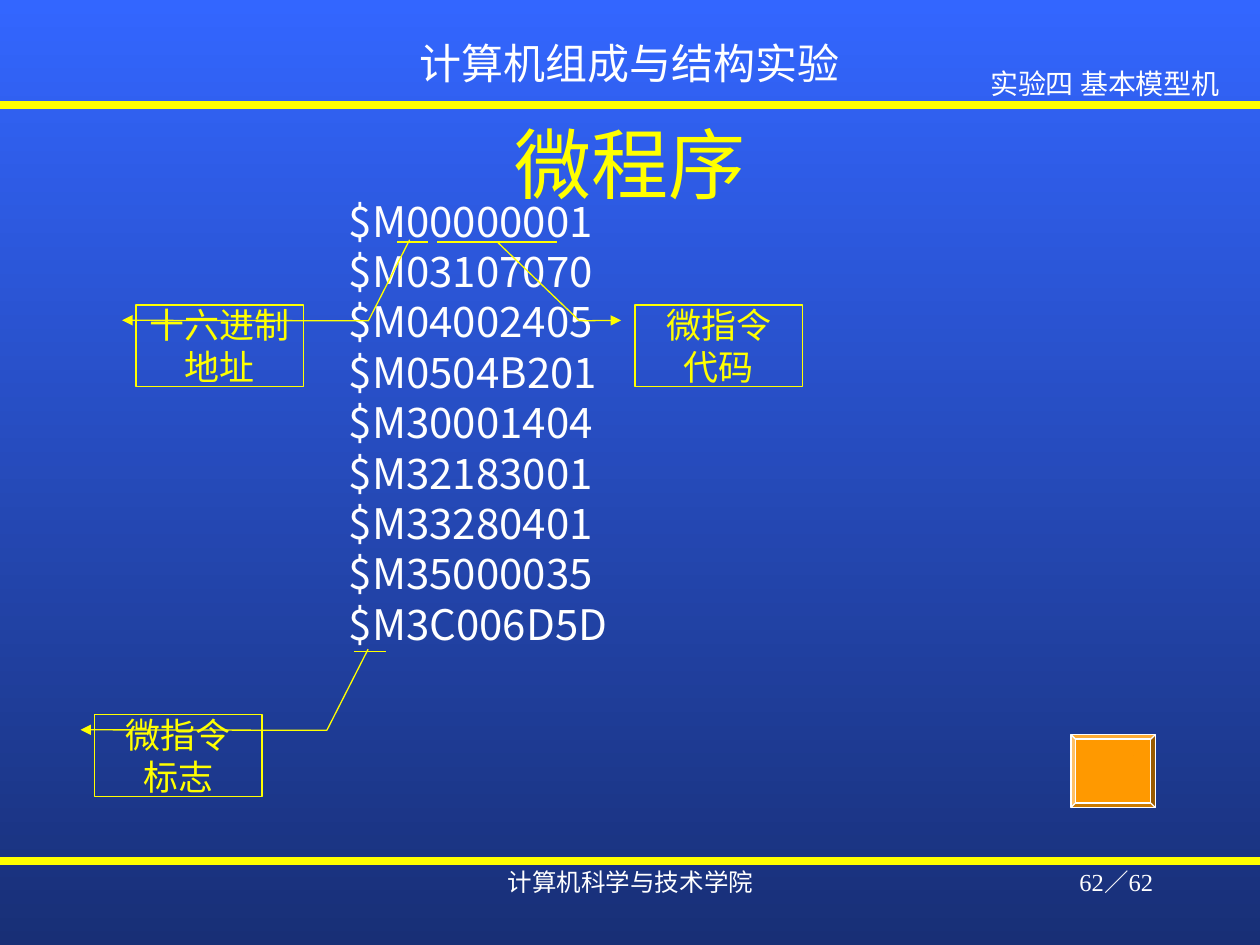
from math import cos, radians, sin

from lxml.etree import SubElement
from pptx import Presentation
from pptx.dml.color import RGBColor
from pptx.enum.shapes import MSO_CONNECTOR, MSO_SHAPE
from pptx.enum.text import MSO_ANCHOR, PP_ALIGN
from pptx.oxml.ns import qn
from pptx.util import Inches, Pt

YELLOW, WHITE = "FFFF00", "FFFFFF"
LATIN, CODE = "Times New Roman", "Noto Sans CJK SC"


def write_lines(shape, lines, size, color, alignment=PP_ALIGN.CENTER, font=LATIN,
                wrap=True, anchor=MSO_ANCHOR.TOP):
    frame = shape.text_frame
    frame.text = "\n".join(lines)
    frame.word_wrap = wrap
    frame.vertical_anchor = anchor
    for paragraph in frame.paragraphs:
        paragraph.alignment = alignment
        for name, value in {"name": font, "size": Pt(size)}.items():
            setattr(paragraph.font, name, value)
        paragraph.font.color.rgb = RGBColor.from_string(color)


def add_rule(left, right, top, width):
    """Draw a yellow horizontal line."""
    rule = slide.shapes.add_connector(
        MSO_CONNECTOR.STRAIGHT, Inches(left), Inches(top), Inches(right), Inches(top))
    rule.line.color.rgb = RGBColor.from_string(YELLOW)
    rule.line.width = Pt(width)
    SubElement(rule._element.spPr, qn("a:effectLst"))


presentation = Presentation()
presentation.slide_width, presentation.slide_height = Inches(10), Inches(7.5)
slide = presentation.slides.add_slide(presentation.slide_layouts[5])

background = slide.background.fill
background.gradient()
background.gradient_angle = 270
for stop, position, color in zip(background.gradient_stops, (0, 1), ("3366FF", "182F76")):
    stop.position = position
    stop.color.rgb = RGBColor.from_string(color)

# Header and footer
for top in (0.83, 6.83):
    add_rule(0, 10, top, 4.5)

captions = [
    ("计算机组成与结构实验", (3.23, 0.25, 3.53, 0.5), 24, PP_ALIGN.LEFT, False),
    ("实验四 基本模型机", (7.76, 0.48, 2.02, 0.37), 16, PP_ALIGN.CENTER, False),
    ("计算机科学与技术学院", (3.42, 6.83, 3.17, 0.5), 14, PP_ALIGN.CENTER, True),
    ("62／62", (7.17, 6.83, 2.08, 0.5), 14, PP_ALIGN.RIGHT, True),
]
for text, place, size, alignment, wrap in captions:
    box = slide.shapes.add_textbox(*map(Inches, place))
    write_lines(box, [text], size, WHITE, alignment, wrap=wrap)

# Title and microprogram
title = slide.shapes.title
for name, value in zip(("left", "top", "width", "height"), (0.75, 0.67, 8.5, 1.25)):
    setattr(title, name, Inches(value))
write_lines(title, ["微程序"], 44, YELLOW, anchor=MSO_ANCHOR.MIDDLE)

microcode = ["00000001", "03107070", "04002405", "0504B201", "30001404",
             "32183001", "33280401", "35000035", "3C006D5D"]
listing = slide.shapes.add_textbox(Inches(2.67), Inches(1.5), Inches(5.75), Inches(3.7))
write_lines(listing, ["$M" + word for word in microcode], 24, WHITE, PP_ALIGN.LEFT, CODE)

# Callouts, each with the underline of the code part it explains
to_left = (0.188, -0.083, 0.194, 1.387, -0.796, 1.633)
to_right = (0.188, -0.083, 0.194, -0.332, -0.761, -0.818)
callouts = [
    (["十六进制", "地址"], 1.08, 2.42, to_left, (3.15, 3.4, 1.92)),
    (["微指令", "代码"], 5.04, 2.42, to_right, (3.47, 4.42, 1.92)),
    (["微指令", "标志"], 0.75, 5.67, to_left, (2.81, 3.06, 5.17)),
]
for lines, left, top, leader, underline in callouts:
    add_rule(*underline, 0.75)
    callout = slide.shapes.add_shape(
        MSO_SHAPE.LINE_CALLOUT_2, Inches(left), Inches(top), Inches(1.33), Inches(0.65))
    for index, value in enumerate(leader):
        callout.adjustments[index] = value
    callout.shadow.inherit = False
    callout.fill.background()
    callout.line.color.rgb = RGBColor.from_string(YELLOW)
    callout.line.width = Pt(0.75)
    SubElement(callout.line._get_or_add_ln(), qn("a:headEnd"), type="triangle")
    write_lines(callout, lines, 20, YELLOW, anchor=MSO_ANCHOR.MIDDLE)

# Return button: bevelled plate and U-shaped arrow
plate = slide.shapes.add_shape(
    MSO_SHAPE.BEVEL, Inches(8.5), Inches(5.83), Inches(0.67), Inches(0.58))
plate.adjustments[0] = 0.0625

bend_left, bend_right, bend_top = 8.79, 8.83, 6.18
outline = [(8.64, 6.04), (8.74, 6.04)]
bends = [(bend_left, 0.05, 180, -15), (bend_right, 0.05, 90, -15),
         (bend_right, 0.15, 0, 15), (bend_left, 0.15, 90, 15)]
for center, radius, start, step in bends:
    if start == 0:
        outline += [(8.88, 6.04), (8.83, 6.04), (8.93, 5.94), (9.03, 6.04), (8.98, 6.04)]
    for angle in range(start, start + 7 * step, step):
        outline.append((center + radius * cos(radians(angle)),
                        bend_top + radius * sin(radians(angle))))
builder = slide.shapes.build_freeform(*outline[0], scale=Inches(1))
builder.add_line_segments(outline[1:], close=True)

for shape, color in ((plate, "FF9900"), (builder.convert_to_shape(), "995C00")):
    shape.shadow.inherit = False
    shape.fill.solid()
    shape.fill.fore_color.rgb = RGBColor.from_string(color)
    shape.line.color.rgb = RGBColor.from_string(WHITE)
    shape.line.width = Pt(0.75)

presentation.save("out.pptx")
